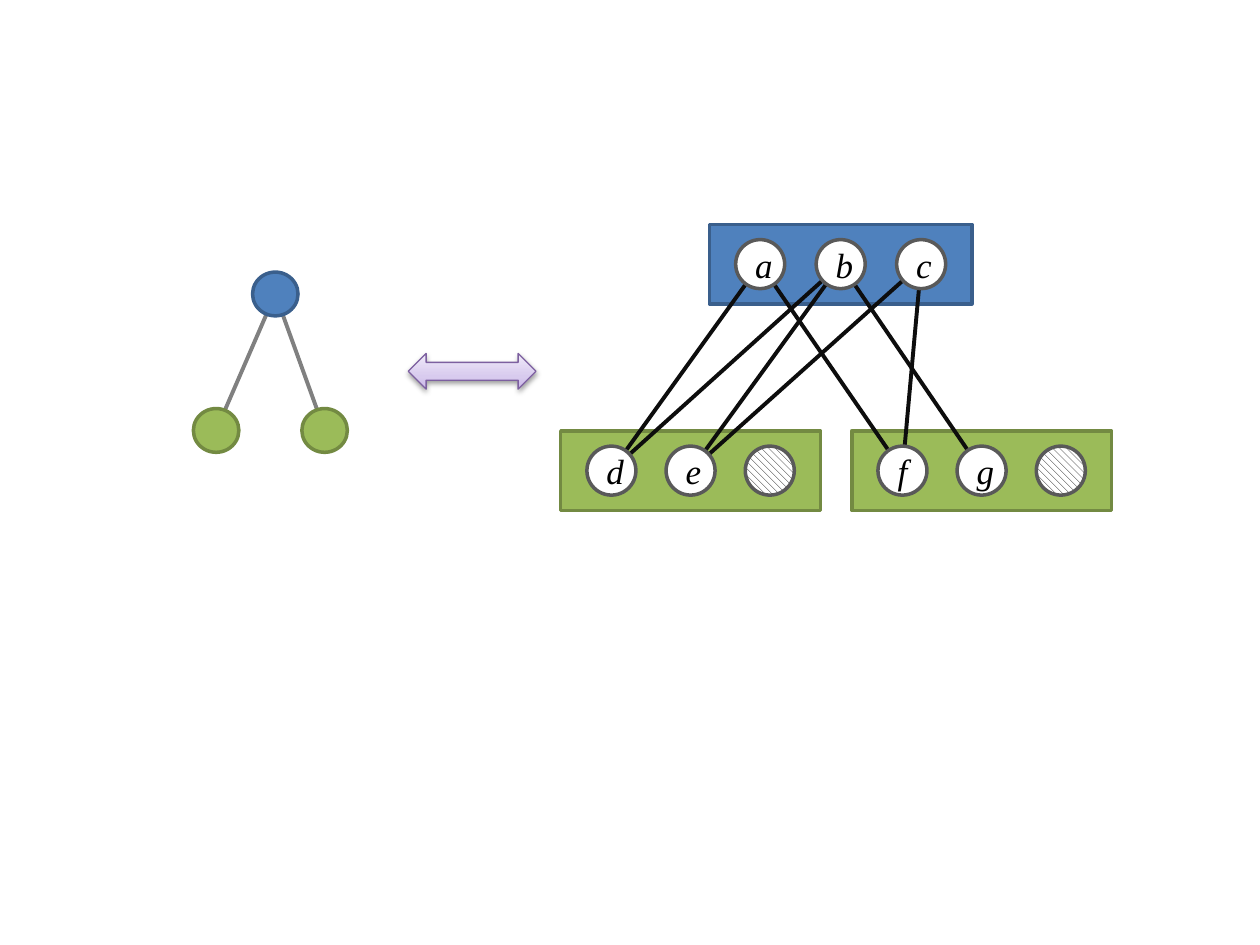
from lxml import etree
from pptx import Presentation
from pptx.dml.color import RGBColor
from pptx.enum.dml import MSO_PATTERN
from pptx.enum.shapes import MSO_CONNECTOR, MSO_SHAPE
from pptx.enum.text import MSO_ANCHOR, PP_ALIGN
from pptx.oxml import parse_xml
from pptx.oxml.ns import nsdecls, qn
from pptx.util import Pt

COLORS = {
    "blue": "4F81BD", "blue rim": "3A5F8C",
    "green": "9BBB59", "green rim": "738A42",
    "white": "FFFFFF", "rim": "595959", "black": "000000",
    "edge": "0D0D0D", "branch": "808080", "arrow rim": "7D60A0",
}
FADE = [(0, "C9B5E8"), (35, "D8CBEE"), (100, "F0EAF9")]
SIZE = 28     # diameter of a small node
MARGIN = 15   # from the side of a bag to its first node


def color(name):
    return RGBColor.from_string(COLORS[name])


def add_shape(slide, kind, box, fill, rim, width=2):
    shape = slide.shapes.add_shape(kind, *map(Pt, box))
    shape.shadow.inherit = False
    if fill:
        shape.fill.solid()
        shape.fill.fore_color.rgb = color(fill)
    shape.line.color.rgb = color(rim)
    shape.line.width = Pt(width)
    return shape


def add_line(slide, start, end, name):
    line = slide.shapes.add_connector(
        MSO_CONNECTOR.STRAIGHT, *map(Pt, (*start, *end)))
    line.line.color.rgb = color(name)
    line.line.width = Pt(2.25)
    etree.SubElement(line._element.spPr, qn("a:effectLst"))


def add_dot(slide, center, wide, high, fill, rim):
    x, y = center
    box = (x - wide / 2, y - high / 2, wide, high)
    return add_shape(slide, MSO_SHAPE.OVAL, box, fill, rim)


def add_node(slide, center, label):
    """Draw a lettered node, or a hatched one if the label is blank."""
    node = add_dot(slide, center, SIZE, SIZE, "white", "rim")
    if not label:
        node.fill.patterned()
        node.fill.pattern = MSO_PATTERN.WIDE_DOWNWARD_DIAGONAL
        node.fill.fore_color.rgb = color("black")
        node.fill.back_color.rgb = color("white")
        return
    frame = node.text_frame
    frame.text = label
    frame.vertical_anchor = MSO_ANCHOR.MIDDLE
    para = frame.paragraphs[0]
    para.alignment = PP_ALIGN.CENTER
    font = para.runs[0].font
    font.name = "Times New Roman"
    font.size = Pt(20)
    font.italic = True
    font.color.rgb = color("black")


def add_bag(slide, box, fill, labels):
    """Draw a bag and return its labels with the node centers."""
    left, top, wide, high = box
    add_shape(slide, MSO_SHAPE.RECTANGLE, box, fill, fill + " rim")
    step = (wide - 2 * MARGIN - SIZE) / (len(labels) - 1)
    return [(label, (left + MARGIN + SIZE / 2 + i * step, top + high / 2))
            for i, label in enumerate(labels)]


def add_graph(slide, left, top):
    """Draw three bags of nodes, and the edges between them."""
    bags = [
        ((left, top + 118, 148.5, 45.5), "green", ["d", "e", ""]),
        ((left + 166.3, top + 118, 148.5, 45.5), "green", ["f", "g", ""]),
        ((left + 85, top, 150, 45.5), "blue", ["a", "b", "c"]),
    ]
    nodes = [node for bag in bags for node in add_bag(slide, *bag)]
    spots = dict(nodes)
    for start, end in ("bg", "ad", "bd", "be", "ce", "af", "cf"):
        add_line(slide, spots[start], spots[end], "edge")
    for label, center in nodes:
        add_node(slide, center, label)


def add_tree(slide, left, top, wide, high):
    dot = (26, 25)
    root = (left + 46.8, top + dot[1] / 2)
    base = top + high - dot[1] / 2
    leaves = [(left + dot[0] / 2, base), (left + wide - dot[0] / 2, base)]
    for leaf in leaves:
        add_line(slide, root, leaf, "branch")
        add_dot(slide, leaf, *dot, "green", "green rim")
    add_dot(slide, root, *dot, "blue", "blue rim")


def add_arrow(slide, *box):
    """Draw a double arrow with a soft fade and a shadow below."""
    arrow = add_shape(slide, MSO_SHAPE.LEFT_RIGHT_ARROW, box,
                      None, "arrow rim", 0.75)
    stops = "".join(
        f'<a:gs pos="{pos * 1000}"><a:srgbClr val="{tint}"/></a:gs>'
        for pos, tint in FADE)
    props = arrow._element.spPr
    props.find(qn("a:prstGeom")).addnext(parse_xml(
        f'<a:gradFill {nsdecls("a")} rotWithShape="1"><a:gsLst>{stops}'
        '</a:gsLst><a:lin ang="16200000" scaled="1"/></a:gradFill>'))
    props.find(qn("a:effectLst")).append(parse_xml(
        f'<a:outerShdw {nsdecls("a")} blurRad="{Pt(3.1)}" dist="{Pt(1.6)}" '
        'dir="5400000" rotWithShape="0"><a:srgbClr val="000000">'
        '<a:alpha val="38000"/></a:srgbClr></a:outerShdw>'))


def main():
    deck = Presentation()
    deck.slide_width, deck.slide_height = Pt(720), Pt(540)
    slide = deck.slides.add_slide(deck.slide_layouts[6])
    add_graph(slide, 320.4, 128.2)
    add_tree(slide, 110.5, 155.5, 88, 103)
    add_arrow(slide, 233.3, 202, 73, 20.4)
    deck.save("out.pptx")


if __name__ == "__main__":
    main()
